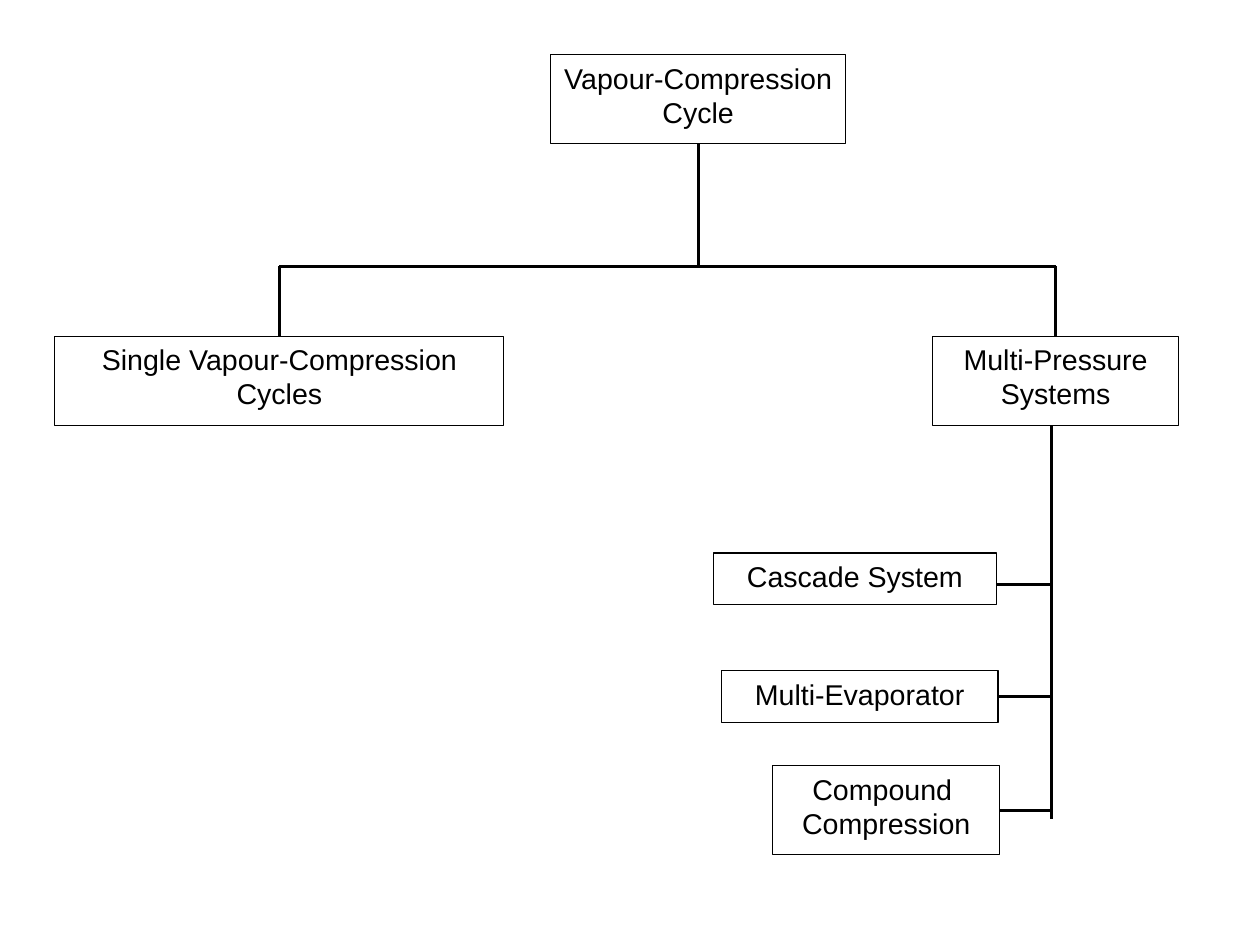
import pptx
import pptx.dml.color
import pptx.enum.shapes
import pptx.enum.text
import pptx.util
from lxml import etree

Cm = pptx.util.Cm
Pt = pptx.util.Pt
TOP, RIGHT, BOTTOM = 0, 3, 2


def color(hex_string):
    return pptx.dml.color.RGBColor.from_string(hex_string)


class TreeChart:
    """Holds the style and the current slide."""

    ink = "000000"
    line_width = Pt(0)
    font_format = {"name": "Arial", "size": Pt(18)}
    frame_format = {
        "word_wrap": True,
        "auto_size": pptx.enum.text.MSO_AUTO_SIZE.SHAPE_TO_FIT_TEXT,
        "vertical_anchor": pptx.enum.text.MSO_ANCHOR.TOP,
        "margin_left": Cm(0.25),
        "margin_right": Cm(0.25),
        "margin_top": Cm(0.13),
        "margin_bottom": Cm(0.13),
    }

    def __init__(self, page):
        self.page = page

    def outline(self, item):
        item.line.color.rgb = color(self.ink)
        item.line.width = self.line_width

    def box(self, left, top, width, height, *texts):
        """Add an outlined rectangle with one centred paragraph per text."""
        shape = self.page.shapes.add_shape(
            pptx.enum.shapes.MSO_SHAPE.RECTANGLE,
            Cm(left), Cm(top), Cm(width), Cm(height))
        shape.shadow.inherit = False
        shape.fill.background()
        self.outline(shape)
        frame = shape.text_frame
        for name, value in self.frame_format.items():
            setattr(frame, name, value)
        for index, text in enumerate(texts):
            para = frame.add_paragraph() if index else frame.paragraphs[0]
            para.alignment = pptx.enum.text.PP_ALIGN.CENTER
            span = para.add_run()
            span.text = text
            for name, value in self.font_format.items():
                setattr(span.font, name, value)
            span.font.color.rgb = color(self.ink)
        return shape

    def line(self, start_x, start_y, end_x, end_y):
        connector = self.page.shapes.add_connector(
            pptx.enum.shapes.MSO_CONNECTOR.STRAIGHT,
            start_x, start_y, end_x, end_y)
        self.outline(connector)
        etree.SubElement(connector._element.spPr,
                         pptx.oxml.ns.qn("a:effectLst"))
        return connector

    def drop(self, shape, side, level):
        """Join the middle of a box's top or bottom to a horizontal level."""
        x = shape.left + shape.width // 2
        y = shape.top + (shape.height if side == BOTTOM else 0)
        self.line(x, y, x, level).begin_connect(shape, side)
        return x

    def branch(self, shape, spine):
        """Join the middle of a box's right side to a vertical spine."""
        y = shape.top + shape.height // 2
        connector = self.line(shape.left + shape.width, y, spine, y)
        connector.begin_connect(shape, RIGHT)


def main():
    deck = pptx.Presentation()
    deck.slide_width, deck.slide_height = Cm(28), Cm(21)
    chart = TreeChart(deck.slides.add_slide(deck.slide_layouts[6]))

    cycle = chart.box(12.24, 1.22, 6.55, 1.98, "Vapour-Compression", "Cycle")
    single = chart.box(1.22, 7.47, 9.98, 1.98,
                       "Single Vapour-Compression", "Cycles")
    multi = chart.box(20.73, 7.47, 5.46, 1.98, "Multi-Pressure", "Systems")
    compound = chart.box(17.17, 17.02, 5.05, 1.98, "Compound ", "Compression")
    evaporator = chart.box(16.03, 14.91, 6.15, 1.14, "Multi-Evaporator")
    cascade = chart.box(15.85, 12.29, 6.3, 1.14, "Cascade System")

    level = Cm(5.92)
    chart.drop(cycle, BOTTOM, level)
    bar_start = chart.drop(single, TOP, level)
    bar_end = chart.drop(multi, TOP, level)
    chart.line(bar_start, level, bar_end, level)

    spine = Cm(23.36)
    chart.line(spine, multi.top + multi.height, spine, Cm(18.19))
    cascade_level = Cm(12.98)
    chart.line(cascade.left + cascade.width, cascade_level,
               spine, cascade_level)
    for system in (evaporator, compound):
        chart.branch(system, spine)

    deck.save("out.pptx")


if __name__ == "__main__":
    main()
